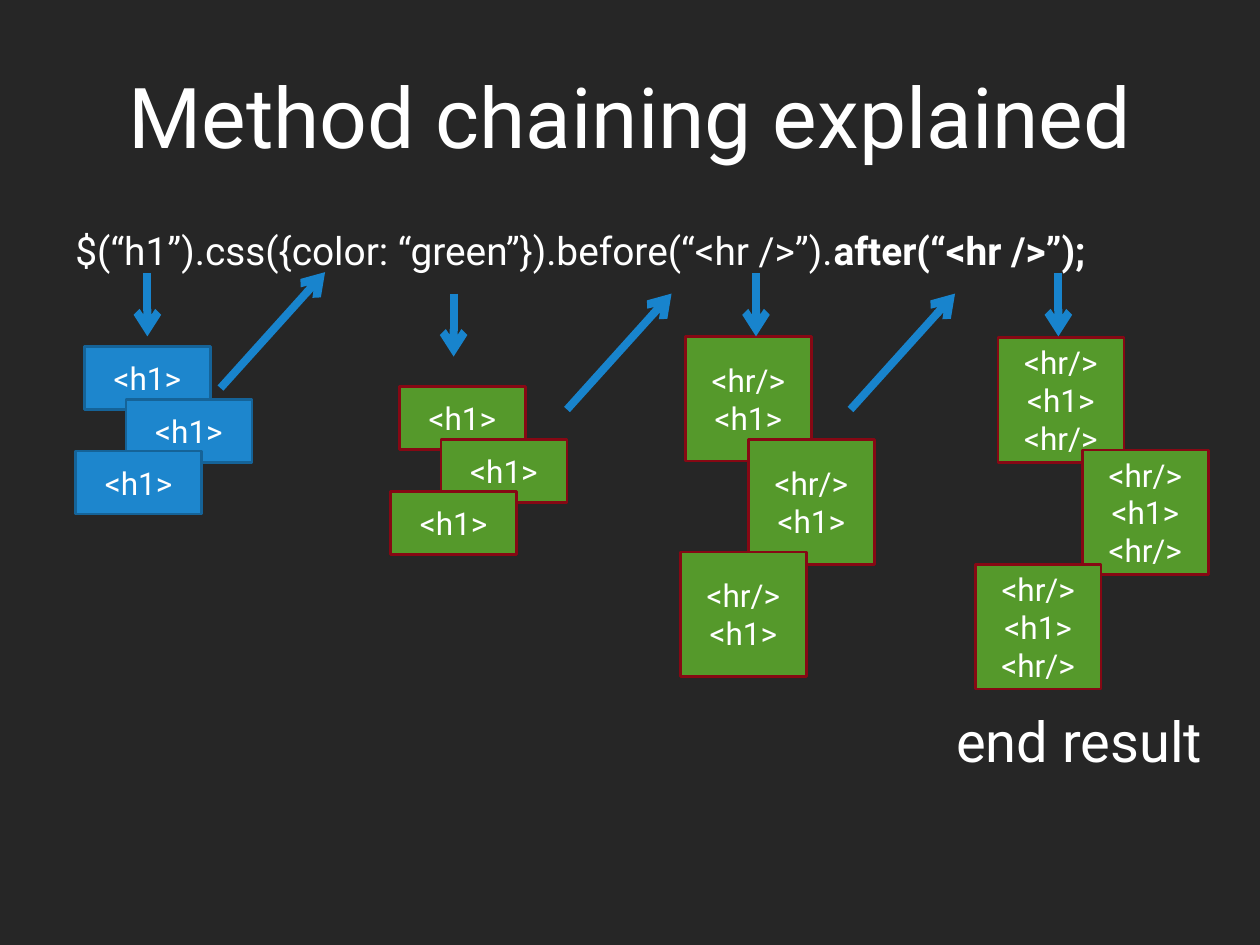
"""Build the slide that explains method chaining."""
from dataclasses import dataclass

from lxml import etree
from pptx import Presentation, util as u
from pptx.dml.color import RGBColor
from pptx.enum import shapes, text
from pptx.oxml.ns import qn


@dataclass(frozen=True)
class Theme:
    """Colours, font and type sizes of the slide."""
    font: str = "Roboto"
    back: str = "262626"
    ink: str = "FFFFFF"
    blue: str = "1D86CD"
    blue_edge: str = "156398"
    green: str = "55992B"
    green_edge: str = "860814"
    arrow: str = "1884CD"
    title: float = 48
    code: float = 22.2
    tag: float = 18
    result: float = 32


T = Theme()
COLS, ROWS = 10, 7.5
WIDTH, HEIGHT = u.Inches(10), u.Inches(7.5)


def grid(col, row):
    """Turn columns and rows into slide lengths."""
    return round(col * WIDTH / COLS), round(row * HEIGHT / ROWS)


def rgb(value):
    """Make a colour from its hex digits."""
    return RGBColor.from_string(value)


def write(s, *paras, size, align=text.PP_ALIGN.LEFT,
          anchor=text.MSO_ANCHOR.TOP):
    """Fill a shape with paragraphs, each a list of (words, bold) runs."""
    tf = s.text_frame
    tf.word_wrap = True
    tf.vertical_anchor = anchor
    for i, runs in enumerate(paras):
        p = tf.add_paragraph() if i else tf.paragraphs[0]
        p.alignment = align
        for words, bold in runs:
            r = p.add_run()
            r.text = words
            r.font.name, r.font.size, r.font.bold = T.font, u.Pt(size), bold
            r.font.color.rgb = rgb(T.ink)


def label(sp, col, row, cols, rows, *runs, **fmt):
    """Add a one-paragraph text box."""
    s = sp.add_textbox(*grid(col, row), *grid(cols, rows))
    write(s, runs, **fmt)


def box(sp, col, row, rows, lines, fill, edge):
    """Add one element box, one column wide."""
    s = sp.add_shape(shapes.MSO_SHAPE.RECTANGLE, *grid(col, row),
                     *grid(1, rows))
    s.shadow.inherit = False
    s.fill.solid()
    s.fill.fore_color.rgb = rgb(fill)
    s.line.color.rgb = rgb(edge)
    s.line.width = u.Pt(1.5)
    write(s, *[[(line, False)] for line in lines], size=T.tag,
          align=text.PP_ALIGN.CENTER, anchor=text.MSO_ANCHOR.MIDDLE)


def stack(sp, col, row, steps, rows, lines, fill=T.green, edge=T.green_edge):
    """Add three overlapping boxes, the later two shifted by steps."""
    for dx, dy in ((0, 0), *steps):
        box(sp, col + dx, row + dy, rows, lines, fill, edge)


def arrow(sp, col, row, dx, dy):
    """Add an arrow that runs by dx columns and dy rows."""
    s = sp.add_connector(shapes.MSO_CONNECTOR.STRAIGHT, *grid(col, row),
                         *grid(col + dx, row + dy))
    s.line.color.rgb = rgb(T.arrow)
    s.line.width = u.Pt(4.5)
    etree.SubElement(s.line._get_or_add_ln(), qn("a:tailEnd"), type="arrow")
    etree.SubElement(s._element.spPr, qn("a:effectLst"))


def down(sp, col, row=2.17):
    """Add an arrow from a call to its result."""
    arrow(sp, col, row, 0, 0.5)


def up(sp, col, row=3.25):
    """Add an arrow from a result to the next call."""
    arrow(sp, col, row, 0.83, -0.92)


def main():
    """Build and save the slide."""
    prs = Presentation()
    prs.slide_width, prs.slide_height = WIDTH, HEIGHT
    slide = prs.slides.add_slide(prs.slide_layouts[6])
    slide.background.fill.solid()
    slide.background.fill.fore_color.rgb = rgb(T.back)
    sp = slide.shapes

    label(sp, 0.75, 0.13, 8.5, 1.56, ("Method chaining explained", False),
          size=T.title, align=text.PP_ALIGN.CENTER,
          anchor=text.MSO_ANCHOR.MIDDLE)
    label(sp, 0.5, 1.75, 9.25, 0.67,
          ("$(“h1”).css({color: “green”}).before(“<hr />”).", False),
          ("after(“<hr />”);", True), size=T.code)

    low_steps = ((0.33, 0.42), (-0.07, 0.83))
    stack(sp, 0.67, 2.75, low_steps, 0.5, ["<h1>"], T.blue, T.blue_edge)
    down(sp, 1.17)
    up(sp, 1.75, 3.08)

    stack(sp, 3.17, 3.07, low_steps, 0.5, ["<h1>"])
    down(sp, 3.6, 2.33)
    up(sp, 4.5)

    stack(sp, 5.44, 2.67, ((0.5, 0.82), (-0.04, 1.71)), 0.99, ["<hr/> <h1>"])
    down(sp, 6)
    up(sp, 6.75)

    stack(sp, 7.92, 2.68, ((0.67, 0.89), (-0.18, 1.8)), 0.99,
          ["<hr/> <h1>", "<hr/>"])
    down(sp, 8.4)
    label(sp, 7.49, 5.56, 2.25, 0.64, ("end result", False), size=T.result)

    prs.save("out.pptx")


main()
